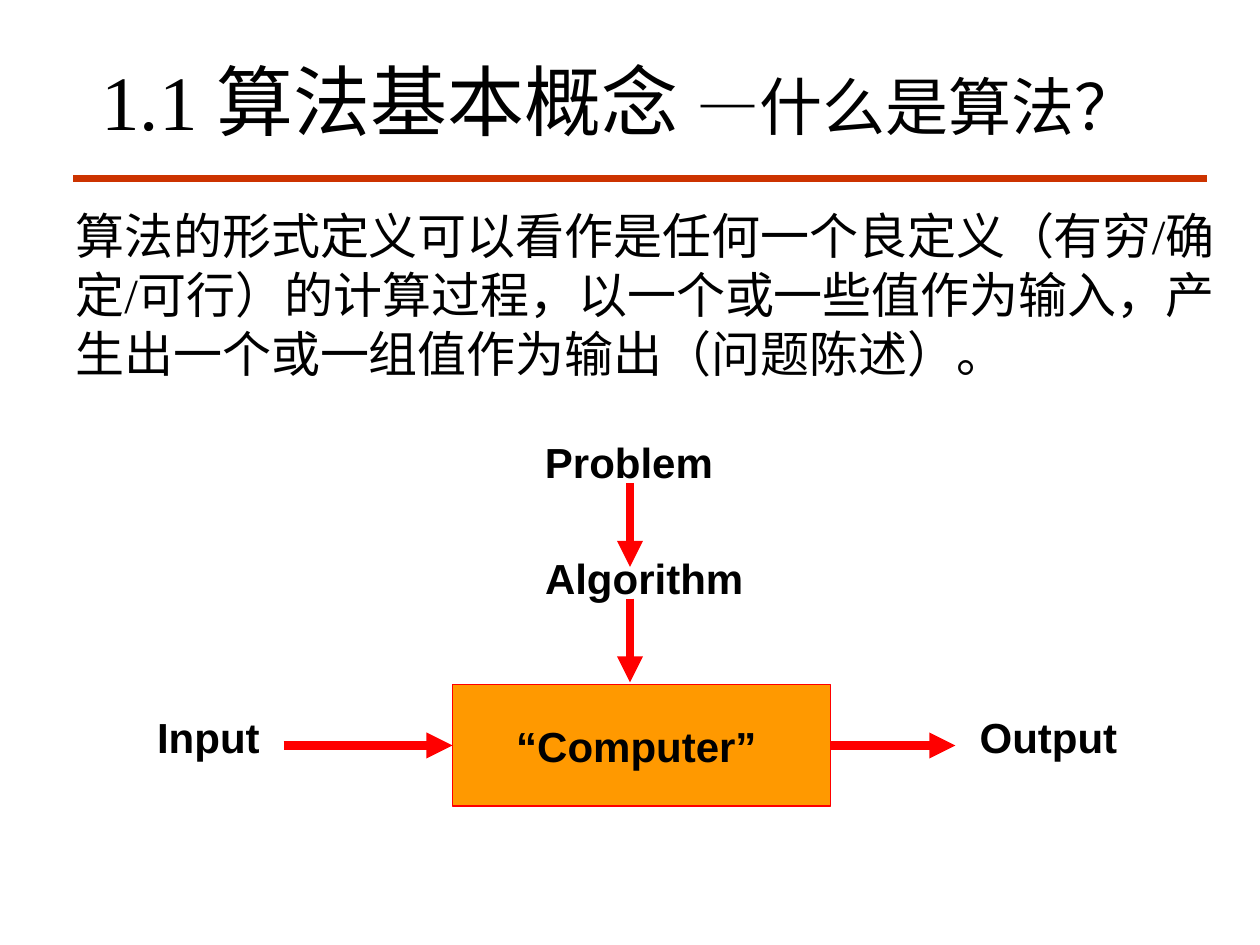
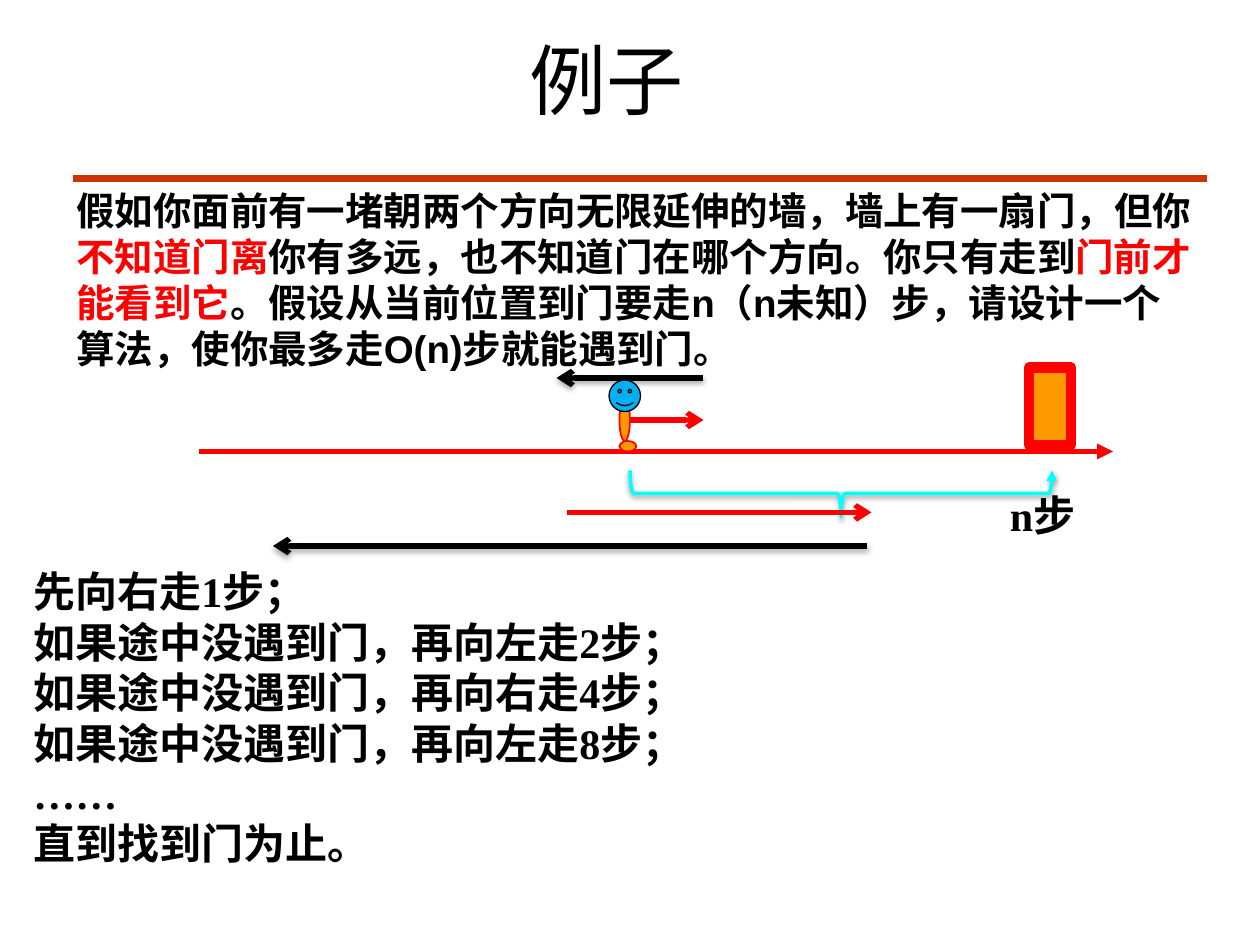
from dataclasses import dataclass
from typing import NamedTuple, Optional

from lxml.etree import SubElement
from pptx import Presentation
from pptx.dml.color import RGBColor
from pptx.enum.shapes import MSO_CONNECTOR, MSO_SHAPE
from pptx.enum.text import MSO_ANCHOR, PP_ALIGN
from pptx.oxml.ns import qn
from pptx.util import Emu, Inches, Pt

COLORS = {
    "black": "000000", "red": "FF0000", "rule": "CC3300",
    "orange": "FF9900", "cyan": "00FFFF", "blue": "00B0F0",
}
SERIF, SANS = "Times New Roman", "Arial"
WIDTH, HEIGHT = Inches(10), Inches(7.5)
COLS, ROWS = 120, 90  # square cells, twelve to the inch


class Box(NamedTuple):
    col: float
    row: float
    cols: float
    rows: float


class Shadow(NamedTuple):
    opacity: int
    distance: float


class Run(NamedTuple):
    text: str
    color: str = "black"
    font: Optional[str] = None
    size: Optional[float] = None


@dataclass
class Style:
    size: float
    font: str
    bold: bool = False
    align: PP_ALIGN = PP_ALIGN.LEFT
    anchor: MSO_ANCHOR = MSO_ANCHOR.TOP
    wrap: bool = True


@dataclass
class Arrow:
    start: tuple
    end: tuple
    color: str = "red"
    width: float = 3
    head: Optional[str] = "arrow"
    shadow: Optional[Shadow] = None


@dataclass
class Figure:
    kind: MSO_SHAPE
    box: Box
    fill: Optional[str] = "orange"
    line: str = "red"
    width: float = 1


TITLE = Style(44, SERIF, align=PP_ALIGN.CENTER, anchor=MSO_ANCHOR.MIDDLE)
BODY = Style(28, SERIF)
STORY = Style(22, SANS, bold=True)
STEPS = Style(24, SERIF, bold=True)
LABEL = Style(24, SANS, bold=True, align=PP_ALIGN.CENTER, wrap=False)
BOX_LABEL = Style(24, SANS, bold=True, align=PP_ALIGN.CENTER,
                  anchor=MSO_ANCHOR.MIDDLE, wrap=False)
WALK_SHADOW = Shadow(35, 1.8)
BRACE_SHADOW = Shadow(38, 1.6)


def x(col: float) -> Emu:
    return Emu(round(WIDTH * col / COLS))


def y(row: float) -> Emu:
    return Emu(round(HEIGHT * row / ROWS))


def place(box: Box) -> tuple:
    return x(box.col), y(box.row), x(box.cols), y(box.rows)


def rgb(name: str) -> RGBColor:
    return RGBColor.from_string(COLORS[name])


def set_line(sp, color: str, width: float, head: Optional[str] = None,
             shadow: Optional[Shadow] = None) -> None:
    """Set the outline, its arrowhead and the shadow (none unless given)."""
    sp.line.color.rgb = rgb(color)
    sp.line.width = Pt(width)
    spPr = sp._element.spPr
    if head:
        SubElement(spPr.find(qn("a:ln")), qn("a:tailEnd"), type=head)
    effects = SubElement(spPr, qn("a:effectLst"))
    if shadow:
        outer = SubElement(effects, qn("a:outerShdw"), blurRad=str(Pt(3.1)),
                           dist=str(Pt(shadow.distance)), dir="5400000",
                           rotWithShape="0")
        clr = SubElement(outer, qn("a:srgbClr"), val=COLORS["black"])
        SubElement(clr, qn("a:alpha"), val=str(shadow.opacity * 1000))


def write(tf, paragraphs: list, style: Style) -> None:
    """Fill a text frame; each paragraph is a list of runs."""
    for name, value in {"word_wrap": style.wrap,
                        "vertical_anchor": style.anchor}.items():
        setattr(tf, name, value)
    for i, runs in enumerate(paragraphs):
        p = tf.add_paragraph() if i else tf.paragraphs[0]
        p.alignment = style.align
        for run in runs:
            r = p.add_run()
            r.text = run.text
            for name, value in {"name": run.font or style.font,
                                "size": Pt(run.size or style.size),
                                "bold": style.bold}.items():
                setattr(r.font, name, value)
            r.font.color.rgb = rgb(run.color)


def add_text(s, box: Box, paragraphs: list, style: Style) -> None:
    write(s.shapes.add_textbox(*place(box)).text_frame, paragraphs, style)


def add_arrow(s, arrow: Arrow):
    (c1, r1), (c2, r2) = arrow.start, arrow.end
    line = s.shapes.add_connector(MSO_CONNECTOR.STRAIGHT, x(c1), y(r1), x(c2), y(r2))
    set_line(line, arrow.color, arrow.width, arrow.head, arrow.shadow)
    return line


def add_figure(s, figure: Figure, head: Optional[str] = None,
               shadow: Optional[Shadow] = None):
    sp = s.shapes.add_shape(figure.kind, *place(figure.box))
    if figure.fill:
        sp.fill.solid()
        sp.fill.fore_color.rgb = rgb(figure.fill)
    else:
        sp.fill.background()
    set_line(sp, figure.line, figure.width, head, shadow)
    return sp


def add_titled_slide(prs, box: Box, title: list):
    s = prs.slides.add_slide(prs.slide_layouts[6])
    add_arrow(s, Arrow((7, 17), (115, 17), "rule", 4.5, None))
    add_text(s, box, [title], TITLE)
    return s


def build_definition(prs) -> None:
    s = add_titled_slide(prs, Box(8, 2, 102, 15), [
        Run("1.1 算法基本概念 "), Run("—", font=SANS, size=36),
        Run("什么是算法？", size=36)])
    add_text(s, Box(6, 19, 111, 68), [[Run(
        "算法的形式定义可以看作是任何一个良定义（有穷/确定/可行）的计算过程，"
        "以一个或一些值作为输入，产生出一个或一组值作为输出（问题陈述）。")]], BODY)

    computer = add_figure(s, Figure(MSO_SHAPE.RECTANGLE, Box(43.1, 65.2, 36, 11.6)))
    write(computer.text_frame, [[Run("“Computer”")]], BOX_LABEL)
    computer.text_frame.margin_right = Inches(0.18)
    for text, box in {
        "Problem": Box(49.8, 41, 20.2, 6),
        "Algorithm": Box(50.6, 52, 21.5, 6),
        "Input": Box(12, 67.2, 15.7, 6),
        "Output": Box(92, 67.2, 15.7, 6),
    }.items():
        add_text(s, box, [[Run(text)]], LABEL)

    flow = [((60, 46), (60, 54)), ((60, 57), (60, 65)),
            ((27, 71), (43.1, 71)), ((79.1, 71), (91, 71))]
    *_, to_computer, from_computer = [
        add_arrow(s, Arrow(start, end, width=5, head="triangle"))
        for start, end in flow]
    to_computer.end_connect(computer, 1)
    from_computer.begin_connect(computer, 3)


def build_example(prs) -> None:
    s = add_titled_slide(prs, Box(8, 3, 99.6, 9), [Run("例子")])
    add_text(s, Box(6.1, 17.2, 109, 69.6), [[
        Run("假如你面前有一堵朝两个方向无限延伸的墙，墙上有一扇门，但你"),
        Run("不知道门离", "red"),
        Run("你有多远，也不知道门在哪个方向。你只有走到"),
        Run("门前才能看到它", "red"),
        Run("。假设从当前位置到门要走n（n未知）步，"
            "请设计一个算法，使你最多走O(n)步就能遇到门。"),
    ]], STORY)

    add_arrow(s, Arrow((19, 43), (106, 43), head="triangle"))
    foot = Figure(MSO_SHAPE.OVAL, Box(59, 42, 1.6, 1))
    door = Figure(MSO_SHAPE.RECTANGLE, Box(98, 35, 4, 7.4), width=6)
    for figure in (foot, door):
        add_figure(s, figure)

    brace = add_figure(s, Figure(MSO_SHAPE.LEFT_BRACE, Box(77.9, 26.9, 4.4, 40.2),
                                 None, "cyan", 2), "triangle", BRACE_SHADOW)
    brace.adjustments[0] = 0.083
    brace.rotation = 270
    brace._element.spPr.find(qn("a:xfrm")).set("flipV", "1")
    add_text(s, Box(95, 46, 13, 6), [[Run("n步")]], STEPS)

    for walk in (
        Arrow((59.8, 40), (67, 40)),
        Arrow((67, 36), (53, 36), "black", shadow=WALK_SHADOW),
        Arrow((54, 48.8), (83, 48.8)),
        Arrow((82.6, 52), (26, 52), "black", shadow=WALK_SHADOW),
    ):
        add_arrow(s, walk)

    turns = [f"如果途中没遇到门，再向{side}走{n}步；"
             for side, n in (("左", 2), ("右", 4), ("左", 8))]
    steps = ["先向右走1步；", *turns, "……", "直到找到门为止。"]
    add_text(s, Box(2, 53.3, 83, 35.2), [[Run(step)] for step in steps], STEPS)

    body = Figure(MSO_SHAPE.OVAL, Box(59, 38, 1, 4))
    face = Figure(MSO_SHAPE.SMILEY_FACE, Box(58, 36.2, 3, 3), "blue", "black", 0.75)
    for figure in (body, face):
        add_figure(s, figure)


def main() -> None:
    prs = Presentation()
    prs.slide_width, prs.slide_height = WIDTH, HEIGHT
    build_definition(prs)
    build_example(prs)
    prs.save("out.pptx")


if __name__ == "__main__":
    main()
